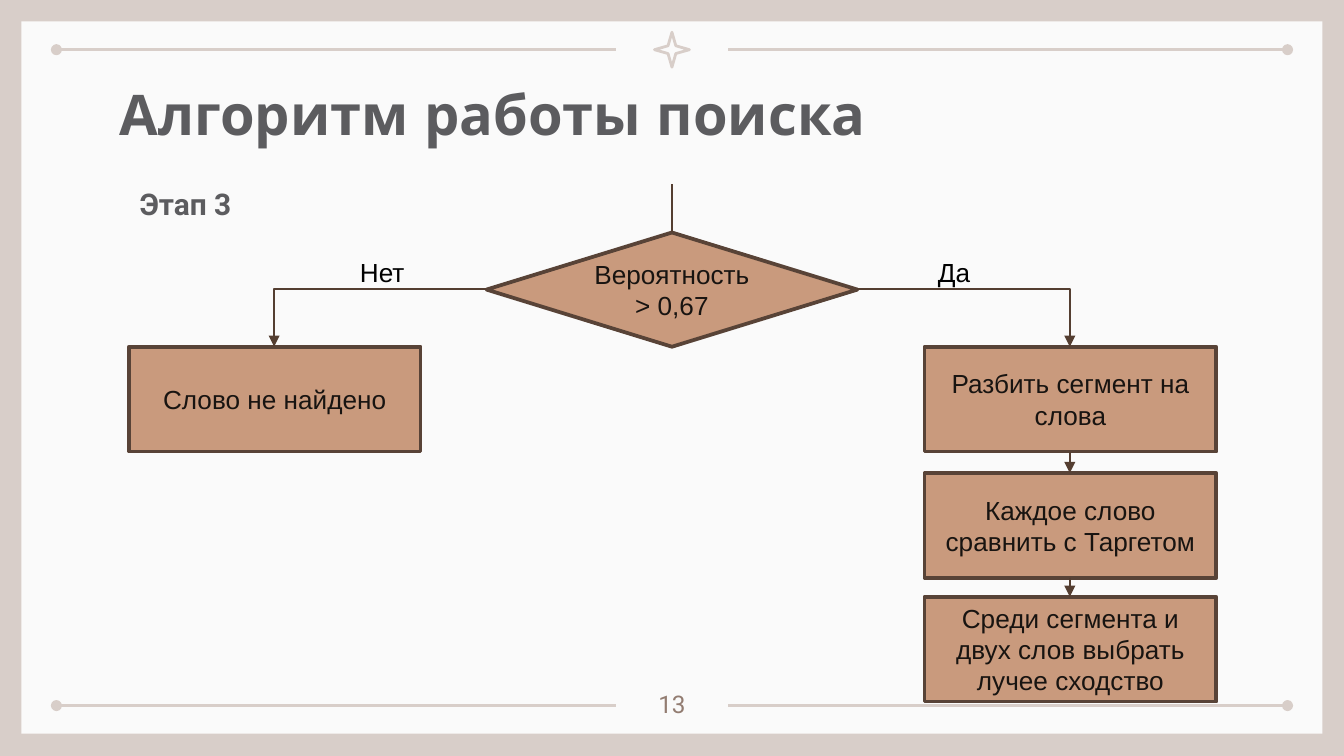
from lxml.etree import SubElement
from pptx import Presentation
from pptx.dml.color import RGBColor
from pptx.enum.shapes import MSO_CONNECTOR, MSO_SHAPE
from pptx.enum.text import MSO_ANCHOR, PP_ALIGN
from pptx.oxml.ns import qn
from pptx.util import Inches, Pt

COLORS = {name: RGBColor.from_string(value) for name, value in {
    "frame": "D8CEC9", "paper": "FAFAFA", "heading": "5C5C5F",
    "number": "927C71", "box": "C99A7D", "outline": "584337",
    "box_text": "181411", "arrow": "543E31", "label": "000000",
}.items()}


def add_line(start, end, color, width, head=None, tail=None, elbow=False):
    """Connect two points; an elbow runs across first, then down."""
    kind = MSO_CONNECTOR.ELBOW if elbow else MSO_CONNECTOR.STRAIGHT
    line = page.shapes.add_connector(kind, *map(Inches, start + end))
    line.line.width = Pt(width)
    line.line.color.rgb = COLORS[color]
    properties = line._element.spPr
    if elbow:
        properties.find(qn("a:prstGeom")).set("prst", "bentConnector2")
    for tag, mark in (("a:headEnd", head), ("a:tailEnd", tail)):
        if mark:
            SubElement(properties.find(qn("a:ln")), qn(tag), type=mark)
    SubElement(properties, qn("a:effectLst"))


def write(shape, text, size, font, color, bold=False, align=PP_ALIGN.LEFT,
          inset=0.05, anchor=MSO_ANCHOR.TOP, wrap=True):
    frame = shape.text_frame
    frame.word_wrap = wrap
    frame.vertical_anchor = anchor
    frame.margin_left = frame.margin_right = Inches(0.1)
    frame.margin_top = frame.margin_bottom = Inches(inset)
    para = frame.paragraphs[0]
    para.alignment = align
    span = para.add_run()
    span.text = text
    span.font.size = Pt(size)
    span.font.name = font
    span.font.bold = bold
    span.font.color.rgb = COLORS[color]
    return para


deck = Presentation()
deck.slide_width = Inches(10)
deck.slide_height = Inches(10) * 9 // 16
page = deck.slides.add_slide(deck.slide_layouts[6])
page.background.fill.solid()
page.background.fill.fore_color.rgb = COLORS["frame"]

# Frame and ornaments
paper = page.shapes.add_shape(
    MSO_SHAPE.RECTANGLE, Inches(0.16), Inches(0.16), Inches(9.68), Inches(5.3))
paper.shadow.inherit = False
paper.fill.solid()
paper.fill.fore_color.rgb = COLORS["paper"]
paper.line.fill.background()

for y in (0.37, 5.25):
    add_line((0.42, y), (4.58, y), "frame", 1.5, head="oval")
    add_line((5.42, y), (9.58, y), "frame", 1.5, tail="oval")

star = page.shapes.add_shape(
    MSO_SHAPE.STAR_4_POINT, Inches(4.87), Inches(0.24), Inches(0.26), Inches(0.26))
star.adjustments[0] = 0.157
star.shadow.inherit = False
star.fill.background()
star.line.color.rgb = COLORS["frame"]
star.line.width = Pt(1.5)

# Heading, page number and stage
title = page.shapes.add_textbox(Inches(0.79), Inches(0.49), Inches(8.43), Inches(0.63))
write(title, "Алгоритм работы поиска", 30, "Quicksand", "heading", bold=True, inset=0.1)

number = page.shapes.add_textbox(Inches(4.7), Inches(5.03), Inches(0.6), Inches(0.36))
write(number, "13", 13, "Roboto", "number", align=PP_ALIGN.CENTER, inset=0.1)

stage = page.shapes.add_textbox(Inches(0.79), Inches(1.24), Inches(1.24), Inches(0.49))
para = write(stage, "Этап 3", 16, "Roboto", "heading", bold=True, inset=0.1)
para.line_spacing = 1.15
indent = para._p.get_or_add_pPr()
indent.set("marL", str(Inches(0.5)))
indent.set("indent", str(Inches(-0.35)))

# Flowchart boxes
STEP_WIDTH, STEP_HEIGHT = 2.17, 0.78
NO_LEFT, YES_LEFT = 0.96, 6.88
STEP_TOPS = (2.58, 3.52, 4.44)
DECISION, PROCESS = MSO_SHAPE.FLOWCHART_DECISION, MSO_SHAPE.FLOWCHART_PROCESS
steps = [
    (DECISION, 3.62, 1.73, 2.76, 0.85, "Вероятность > 0,67"),
    (PROCESS, NO_LEFT, STEP_TOPS[0], STEP_WIDTH, STEP_HEIGHT, "Слово не найдено"),
]
for top, text in zip(STEP_TOPS, (
        "Разбить сегмент на слова",
        "Каждое слово сравнить с Таргетом",
        "Среди сегмента и двух слов выбрать лучее сходство")):
    steps.append((PROCESS, YES_LEFT, top, STEP_WIDTH, STEP_HEIGHT, text))

for kind, left, top, width, height, text in steps:
    box = page.shapes.add_shape(
        kind, Inches(left), Inches(top), Inches(width), Inches(height))
    box.shadow.inherit = False
    box.fill.solid()
    box.fill.fore_color.rgb = COLORS["box"]
    box.line.color.rgb = COLORS["outline"]
    box.line.width = Pt(2)
    write(box, text, 14, "Arial", "box_text", align=PP_ALIGN.CENTER,
          anchor=MSO_ANCHOR.MIDDLE)

# Arrows and branch labels
no_x, yes_x = 2.04, 7.96
for corner, x in ((3.62, no_x), (6.38, yes_x)):
    add_line((corner, 2.15), (x, STEP_TOPS[0]), "arrow", 1, tail="triangle", elbow=True)
for above, below in zip(STEP_TOPS, STEP_TOPS[1:]):
    add_line((yes_x, above + STEP_HEIGHT), (yes_x, below), "arrow", 1, tail="triangle")
add_line((5, 1.73), (5, 1.37), "arrow", 1.5)

for left, width, text in ((2.58, 0.54, "Нет"), (6.88, 0.44, "Да")):
    label = page.shapes.add_textbox(
        Inches(left), Inches(1.86), Inches(width), Inches(0.34))
    write(label, text, 14, "Arial", "label", wrap=False)

deck.save("out.pptx")
